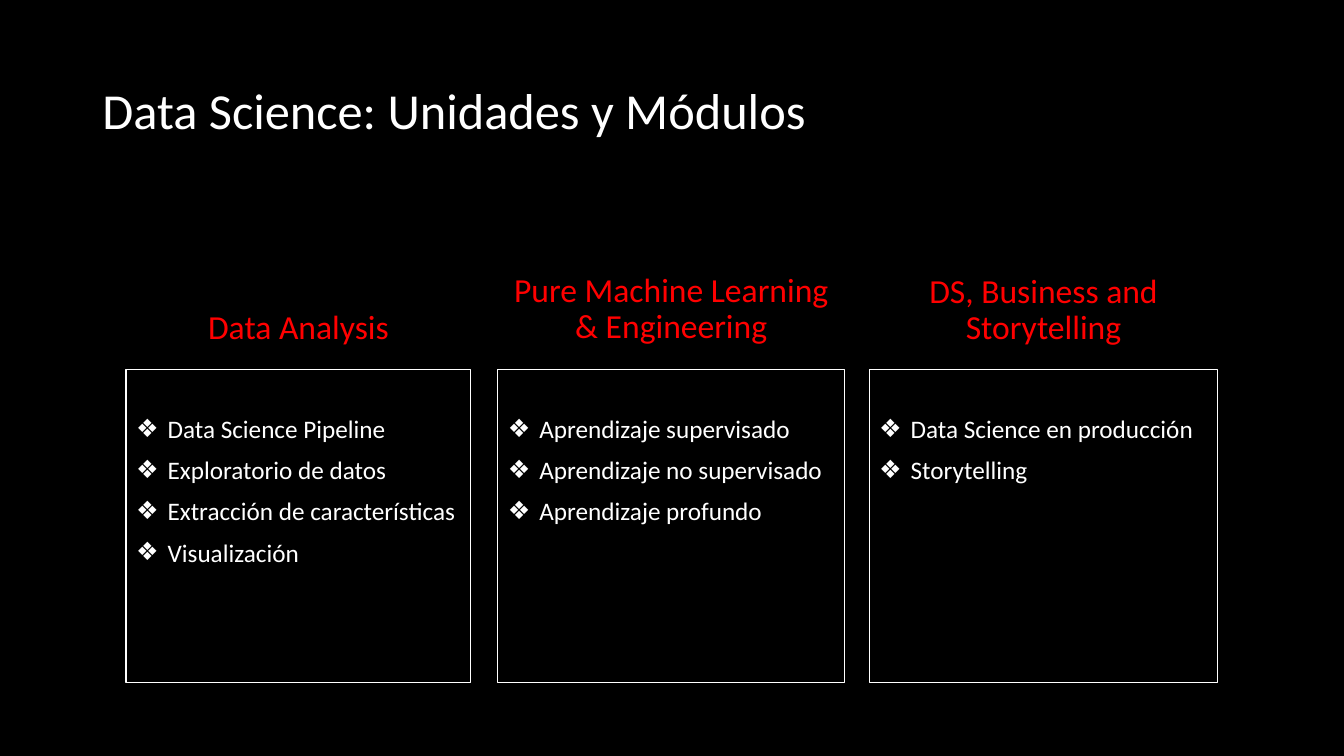
from dataclasses import dataclass

from lxml.etree import SubElement
from pptx import Presentation
from pptx.dml.color import RGBColor
from pptx.enum.text import MSO_ANCHOR as Anchor, MSO_AUTO_SIZE as AutoSize, PP_ALIGN as Align
from pptx.oxml.ns import qn
from pptx.text.text import TextFrame, _Paragraph as Paragraph
from pptx.util import Pt

BLACK = RGBColor(0x00, 0x00, 0x00)
WHITE = RGBColor(0xFF, 0xFF, 0xFF)
RED = RGBColor(0xFF, 0x00, 0x00)
FONT = "Calibri"
COMPARISON_LAYOUT = 4
SPARE_PLACEHOLDER = 3
HEADING_HEIGHT = 45.4
LIST_TOP, LIST_HEIGHT = 264.2, 223.2
LIST_INSET = 33.4
BULLET_INDENT = 22.5


@dataclass(frozen=True)
class Module:
    placeholder: int
    left: float
    width: float
    heading_top: float
    heading: str
    units: tuple[str, ...]


MODULES = (
    Module(1, 90, 246.4, 205.9, "Data Analysis",
           ("Data Science Pipeline", "Exploratorio de datos",
            "Extracción de características", "Visualización")),
    Module(2, 355.6, 247.8, 205.2, "Pure Machine Learning & Engineering",
           ("Aprendizaje supervisado", "Aprendizaje no supervisado",
            "Aprendizaje profundo")),
    Module(4, 620.8, 249.2, 205.9, "DS, Business and Storytelling",
           ("Data Science en producción", "Storytelling")),
)


def place(sp, left: float, top: float, width: float, height: float) -> None:
    sp.left, sp.top, sp.width, sp.height = map(Pt, (left, top, width, height))


def set_frame(tf: TextFrame, anchor: Anchor) -> None:
    tf.word_wrap = True
    tf.auto_size = AutoSize.NONE
    tf.vertical_anchor = anchor


def add_text(p: Paragraph, text: str, size: float, color: RGBColor,
             align: Align = Align.LEFT, before: float = 0) -> None:
    p.alignment = align
    p.line_spacing = 0.9
    p.space_before = Pt(before)
    r = p.add_run()
    r.text = text
    r.font.name = FONT
    r.font.size = Pt(size)
    r.font.bold = False
    r.font.color.rgb = color


def add_bullet(p: Paragraph) -> None:
    pPr = p._p.get_or_add_pPr()
    pPr.set("marL", str(Pt(BULLET_INDENT)))
    pPr.set("indent", str(-Pt(BULLET_INDENT)))
    SubElement(pPr, qn("a:buFont")).set("typeface", FONT)
    SubElement(pPr, qn("a:buChar")).set("char", "❖")


def add_heading(slide, module: Module) -> None:
    sp = slide.shapes.add_textbox(0, 0, 0, 0)
    place(sp, module.left, module.heading_top, module.width, HEADING_HEIGHT)
    set_frame(sp.text_frame, Anchor.BOTTOM)
    add_text(sp.text_frame.paragraphs[0], module.heading, 24, RED, Align.CENTER)


def fill_list(slide, module: Module) -> None:
    sp = slide.placeholders[module.placeholder]
    place(sp, module.left, LIST_TOP, module.width, LIST_HEIGHT)
    sp.line.color.rgb = WHITE
    sp.line.width = Pt(0.75)
    tf = sp.text_frame
    set_frame(tf, Anchor.TOP)
    tf.margin_top = Pt(LIST_INSET)
    for i, unit in enumerate(module.units):
        p = tf.add_paragraph() if i else tf.paragraphs[0]
        add_bullet(p)
        add_text(p, unit, 18, WHITE, before=10 if i else 0)


def main() -> None:
    prs = Presentation()
    prs.slide_width, prs.slide_height = Pt(960), Pt(540)
    slide = prs.slides.add_slide(prs.slide_layouts[COMPARISON_LAYOUT])
    slide.background.fill.solid()
    slide.background.fill.fore_color.rgb = BLACK

    title = slide.shapes.title
    place(title, 66, 28.8, 828, 104.4)
    set_frame(title.text_frame, Anchor.MIDDLE)
    add_text(title.text_frame.paragraphs[0], "Data Science: Unidades y Módulos", 36, WHITE)

    spare = slide.placeholders[SPARE_PLACEHOLDER].element
    spare.getparent().remove(spare)
    for module in MODULES:
        add_heading(slide, module)
        fill_list(slide, module)
    prs.save("out.pptx")


if __name__ == "__main__":
    main()
